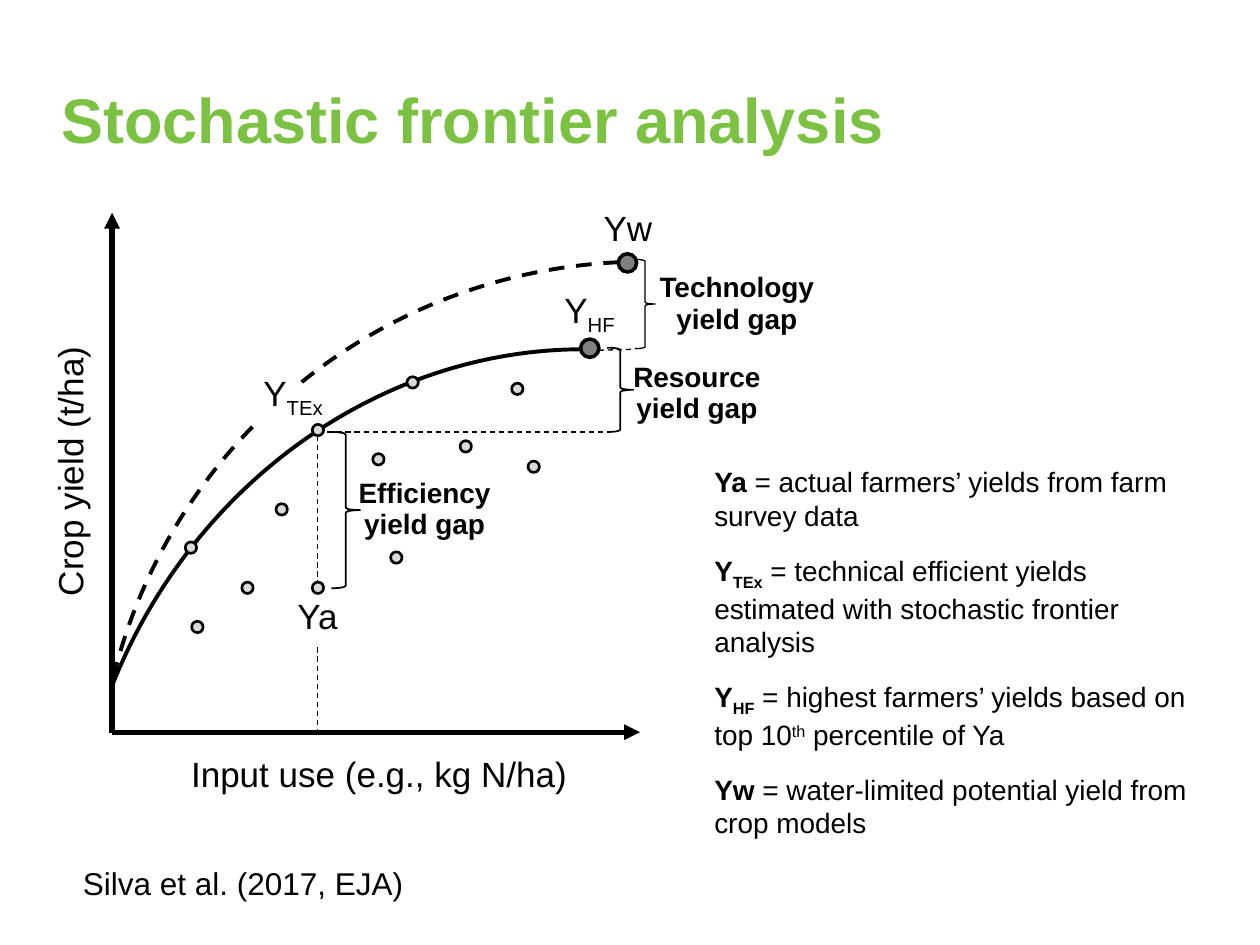
from typing import NamedTuple

from lxml import etree
from pptx import Presentation
from pptx.dml.color import RGBColor
from pptx.enum.dml import MSO_LINE
from pptx.enum.shapes import MSO_CONNECTOR, MSO_SHAPE
from pptx.enum.text import MSO_ANCHOR, MSO_AUTO_SIZE, PP_ALIGN
from pptx.oxml.ns import qn
from pptx.util import Cm, Pt

DASH = MSO_LINE.DASH
STRAIGHT = MSO_CONNECTOR.STRAIGHT
ARC, BRACE, OVAL, RECT = (MSO_SHAPE.ARC, MSO_SHAPE.RIGHT_BRACE,
                          MSO_SHAPE.OVAL, MSO_SHAPE.RECTANGLE)
LEFT, CENTER = PP_ALIGN.LEFT, PP_ALIGN.CENTER
TOP, MIDDLE = MSO_ANCHOR.TOP, MSO_ANCHOR.MIDDLE

HEX = {"ink": "000000", "title": "7BC142", "farm": "D9D9D9",
       "peak": "808080", "paper": "FFFFFF"}
FONT = "Arial"
SUB, SUPER = -25000, 30000


class Box(NamedTuple):
    """Left, top, width and height in centimetres."""
    x: float
    y: float
    w: float
    h: float


class Piece(NamedTuple):
    text: str
    bold: bool = False
    base: int = 0


class Curve(NamedTuple):
    box: Box
    turn: float
    start: float
    end: float
    dash: bool = False


class Line(NamedTuple):
    x1: float
    y1: float
    x2: float
    y2: float


class Gap(NamedTuple):
    name: str
    label: Box
    brace: Box
    width: float = 1


class Label(NamedTuple):
    row: list[Piece]
    box: Box
    size: int = 20
    wrap: bool = False
    turn: float = 0


CURVES = [
    Curve(Box(0.76, 7.75, 20.96, 19.35), 290.5, 162.83, 206.05),
    Curve(Box(1.96, 5.28, 22.02, 22), 313.2, 144.36, 188.76, True),
]
GUIDES = [
    Line(6.4, 8.79, 6.4, 11.73),
    Line(6.4, 11.96, 6.4, 14.78),
    Line(6.6, 8.71, 12.19, 8.71),
    Line(12.07, 7.06, 12.8, 7.04),
]
AXES = [Line(2.26, 4.29, 2.26, 14.78), Line(12.9, 14.76, 2.26, 14.76)]
GAPS = [
    Gap("Efficiency", Box(6.96, 9.5, 3.2, 1.55), Box(6.68, 8.71, 0.58, 3.15)),
    Gap("Resource", Box(12.45, 7.16, 3.2, 1.55), Box(12.24, 7.01, 0.53, 1.7)),
    Gap("Technology", Box(13, 5.36, 3.71, 1.55),
        Box(12.8, 5.23, 0.41, 1.8), 0.75),
]
MASKS = [Box(4.78, 7.57, 1.22, 0.94), Box(5.74, 11.86, 1.32, 1.12)]
FARMS = [
    (10.43, 7.84), (9.39, 9), (5.68, 10.27), (3.98, 12.64),
    (4.99, 11.85), (10.76, 9.41), (6.41, 11.85), (7.99, 11.24),
    (7.63, 9.26), (8.32, 7.71), (6.41, 8.67), (3.85, 11.04),
]
PEAKS = [(11.89, 7.02), (12.65, 5.3)]
LABELS = [
    Label([Piece("Yw")], Box(11.91, 4.04, 1.5, 1.12)),
    Label([Piece("Y"), Piece("HF", base=SUB)], Box(11.07, 5.69, 1.63, 1.12)),
    Label([Piece("Y"), Piece("TEx", base=SUB)],
          Box(4.83, 7.37, 2.16, 1.12), wrap=True),
    Label([Piece("Ya")], Box(5.74, 11.86, 1.32, 1.12)),
    Label([Piece("Input use (e.g., kg N/ha)")], Box(3.58, 15.04, 8.13, 1.12)),
    Label([Piece("Crop yield (t/ha)")], Box(-1.93, 8.94, 6.68, 1.12),
          wrap=True, turn=270),
    Label([Piece("Silva et al. (2017, EJA)")], Box(0.66, 17.3, 8.48, 1.02),
          size=18, wrap=True),
]
TERMS = [
    [Piece("Ya", True),
     Piece(" = actual farmers’ yields from farm survey data")],
    [Piece("Y", True), Piece("TEx", True, SUB),
     Piece(" = technical efficient yields estimated with stochastic "
           "frontier analysis")],
    [Piece("Y", True), Piece("HF", True, SUB),
     Piece(" = highest farmers’ yields based on top 10"),
     Piece("th", base=SUPER), Piece(" percentile of Ya")],
    [Piece("Yw", True),
     Piece(" = water-limited potential yield from crop models")],
]


def paint(name: str) -> RGBColor:
    return RGBColor.from_string(HEX[name])


def place(box: Box) -> list[Cm]:
    return [Cm(n) for n in box]


def add_shape(slide, kind, box: Box, fill: str = "", width: float = 0):
    """Draw a preset shape; no fill name or zero width leaves that out."""
    shape = slide.shapes.add_shape(kind, *place(box))
    shape.shadow.inherit = False
    if fill:
        shape.fill.solid()
        shape.fill.fore_color.rgb = paint(fill)
    else:
        shape.fill.background()
    if width:
        shape.line.color.rgb = paint("ink")
        shape.line.width = Pt(width)
    else:
        shape.line.fill.background()
    return shape


def add_curve(slide, curve: Curve) -> None:
    arc = add_shape(slide, ARC, curve.box, width=2.25)
    arc.adjustments[0] = curve.start
    arc.adjustments[1] = curve.end
    arc.rotation = curve.turn
    if curve.dash:
        arc.line.dash_style = DASH


def add_dot(slide, x: float, y: float, size: float, fill: str,
            width: float) -> None:
    """Draw a dot centred on x, y."""
    box = Box(x - size / 2, y - size / 2, size, size)
    add_shape(slide, OVAL, box, fill, width)


def add_line(slide, line: Line, width: float):
    link = slide.shapes.add_connector(STRAIGHT, *[Cm(n) for n in line])
    link.line.color.rgb = paint("ink")
    link.line.width = Pt(width)
    etree.SubElement(link._element.spPr, qn("a:effectLst"))
    return link


def add_axis(slide, line: Line) -> None:
    axis = add_line(slide, line, 3)
    etree.SubElement(axis.line._get_or_add_ln(), qn("a:headEnd"),
                     type="triangle")


def add_text(slide, box: Box, rows: list[list[Piece]], size: int,
             align=CENTER, color: str = "ink", wrap: bool = True,
             lead: float = 0, after: float = 0, anchor=TOP):
    """Write one paragraph per row; lead is the line pitch in points."""
    shape = slide.shapes.add_textbox(*place(box))
    frame = shape.text_frame
    frame.word_wrap = wrap
    frame.auto_size = MSO_AUTO_SIZE.NONE
    frame.vertical_anchor = anchor
    for i, row in enumerate(rows):
        para = frame.add_paragraph() if i else frame.paragraphs[0]
        para.alignment = align
        para.space_after = Pt(after)
        if lead:
            para.line_spacing = Pt(lead)
        para.font.name = FONT
        para.font.size = Pt(size)
        para.font.color.rgb = paint(color)
        for piece in row:
            run = para.add_run()
            run.text = piece.text
            run.font.bold = piece.bold
            if piece.base:
                run._r.get_or_add_rPr().set("baseline", str(piece.base))
    return shape


def add_gap(slide, gap: Gap) -> None:
    add_shape(slide, BRACE, gap.brace, width=gap.width)
    rows = [[Piece(gap.name, True)], [Piece("yield gap", True)]]
    add_text(slide, gap.label, rows, 16, lead=18)


def main() -> None:
    deck = Presentation()
    deck.slide_width, deck.slide_height = Cm(25.4), Cm(19.05)
    slide = deck.slides.add_slide(deck.slide_layouts[6])

    for curve in CURVES:
        add_curve(slide, curve)
    for line in GUIDES:
        add_line(slide, line, 0.75).line.dash_style = DASH
    for line in AXES:
        add_axis(slide, line)
    for box in MASKS:
        add_shape(slide, RECT, box, "paper")
    for gap in GAPS:
        add_gap(slide, gap)
    for x, y in FARMS:
        add_dot(slide, x, y, 0.23, "farm", 1.5)
    for x, y in PEAKS:
        add_dot(slide, x, y, 0.37, "peak", 2)
    for label in LABELS:
        shape = add_text(slide, label.box, [label.row], label.size,
                         wrap=label.wrap)
        shape.rotation = label.turn
    add_text(slide, Box(14.15, 9.25, 10.44, 7.7), TERMS, 16, LEFT, after=12)
    add_text(slide, Box(0.99, 0.79, 23.39, 3.18),
             [[Piece("Stochastic frontier analysis", True)]], 36, LEFT,
             "title", anchor=MIDDLE)
    deck.save("out.pptx")


if __name__ == "__main__":
    main()
